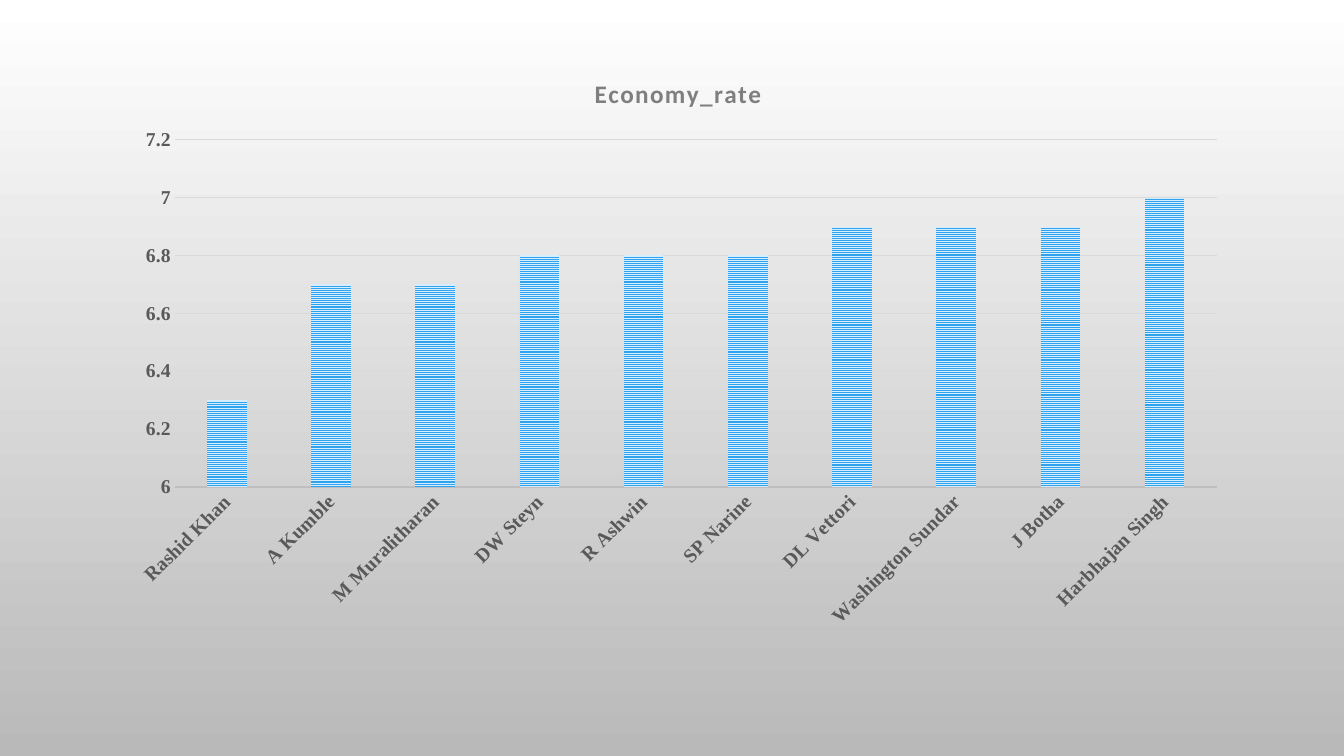
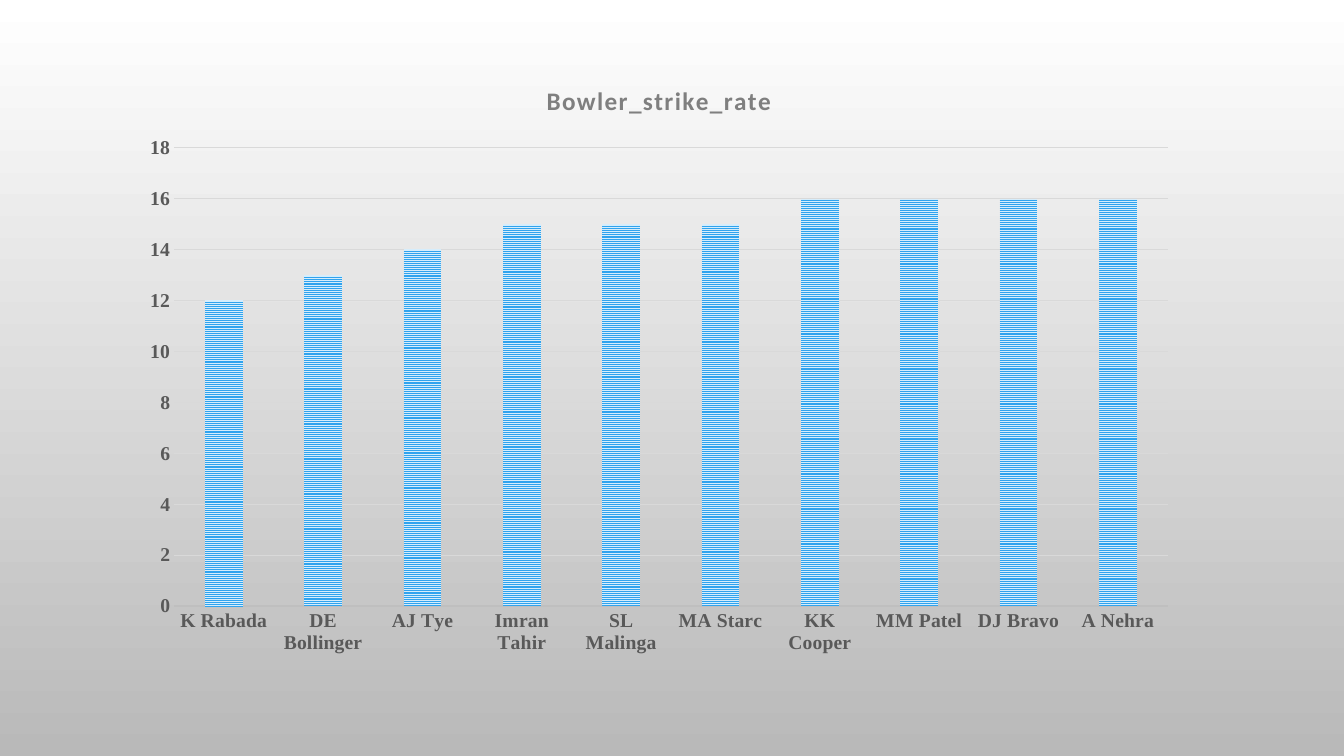
"""Build two slides of bowling statistics, each with one column chart."""
import dataclasses

import pptx
import pptx.chart.data
import pptx.dml.color
import pptx.enum.chart
import pptx.enum.dml
import pptx.util

Inches = pptx.util.Inches
Pt = pptx.util.Pt
rgb = pptx.dml.color.RGBColor.from_string


@dataclasses.dataclass(frozen=True)
class Theme:
    background_top = rgb("FFFFFF")
    background_bottom = rgb("B9B9B9")
    bar_stripe = rgb("2FA3EE")
    bar_ground = rgb("D5EDFC")
    title_color = rgb("7F7F7F")
    label_color = rgb("595959")
    axis_line = rgb("BFBFBF")
    grid_line = rgb("D9D9D9")
    title_font = "Calibri"
    label_font = "Times New Roman"
    title_size = Pt(18)
    label_size = Pt(14)
    base_size = Pt(10)
    title_spacing = "100"


theme = Theme()

rankings = [
    {
        "title": "Economy_rate",
        "place": (1.16, 0.54, 11.13, 5.8),
        "scale": (6, 7.2, 0.2),
        "label_angle": -45,
        "rates": {
            "Rashid Khan": 6.3,
            "A Kumble": 6.7,
            "M Muralitharan": 6.7,
            "DW Steyn": 6.8,
            "R Ashwin": 6.8,
            "SP Narine": 6.8,
            "DL Vettori": 6.9,
            "Washington Sundar": 6.9,
            "J Botha": 6.9,
            "Harbhajan Singh": 7,
        },
    },
    {
        "title": "Bowler_strike_rate",
        "place": (1.28, 0.61, 10.51, 6),
        "scale": (0, 18, 2),
        "label_angle": 0,
        "rates": {
            "K Rabada": 12,
            "DE Bollinger": 13,
            "AJ Tye": 14,
            "Imran Tahir": 15,
            "SL Malinga": 15,
            "MA Starc": 15,
            "KK Cooper": 16,
            "MM Patel": 16,
            "DJ Bravo": 16,
            "A Nehra": 16,
        },
    },
]


def set_font(font, name, size, color):
    font.name = name
    font.size = size
    font.bold = True
    font.color.rgb = color


prs = pptx.Presentation()
prs.slide_width = Inches(13.33)
prs.slide_height = Inches(7.5)

backdrop = prs.slide_master.background.fill
backdrop.gradient()
backdrop.gradient_angle = 270
for stop, color in zip(backdrop.gradient_stops, (theme.background_top, theme.background_bottom)):
    stop.color.rgb = color

for ranking in rankings:
    slide = prs.slides.add_slide(prs.slide_layouts[6])

    data = pptx.chart.data.CategoryChartData()
    data.categories = list(ranking["rates"])
    data.add_series("Series 1", ranking["rates"].values())
    chart = slide.shapes.add_chart(
        pptx.enum.chart.XL_CHART_TYPE.COLUMN_CLUSTERED,
        *map(Inches, ranking["place"]),
        data,
    ).chart
    chart.has_legend = False
    chart.font.name = theme.title_font
    chart.font.size = theme.base_size

    chart.has_title = True
    chart.chart_title.include_in_layout = False
    heading = chart.chart_title.text_frame.paragraphs[0]
    heading_run = heading.add_run()
    heading_run.text = ranking["title"]
    set_font(heading.font, theme.title_font, theme.title_size, theme.title_color)
    heading_run.font._element.set("spc", theme.title_spacing)

    bowlers, rate = chart.category_axis, chart.value_axis
    for axis in (bowlers, rate):
        axis.major_tick_mark = pptx.enum.chart.XL_TICK_MARK.NONE
        axis.minor_tick_mark = pptx.enum.chart.XL_TICK_MARK.NONE
        set_font(axis.tick_labels.font, theme.label_font, theme.label_size, theme.label_color)

    bowlers.format.line.color.rgb = theme.axis_line
    bowlers.format.line.width = Pt(1.5)
    if ranking["label_angle"]:
        label_body = bowlers._element.xpath("c:txPr/a:bodyPr")[0]
        label_body.set("rot", str(ranking["label_angle"] * 60000))
        label_body.set("vert", "horz")

    rate.minimum_scale, rate.maximum_scale, rate.major_unit = ranking["scale"]
    rate.format.line.fill.background()
    rate.has_major_gridlines = True
    rate.major_gridlines.format.line.color.rgb = theme.grid_line
    rate.major_gridlines.format.line.width = Pt(0.75)

    plot = chart.plots[0]
    plot.vary_by_categories = False
    plot.gap_width = 164
    plot.overlap = -22
    bars = plot.series[0].format.fill
    bars.patterned()
    bars.pattern = pptx.enum.dml.MSO_PATTERN_TYPE.NARROW_HORIZONTAL
    bars.fore_color.rgb = theme.bar_stripe
    bars.back_color.rgb = theme.bar_ground

prs.save("out.pptx")
